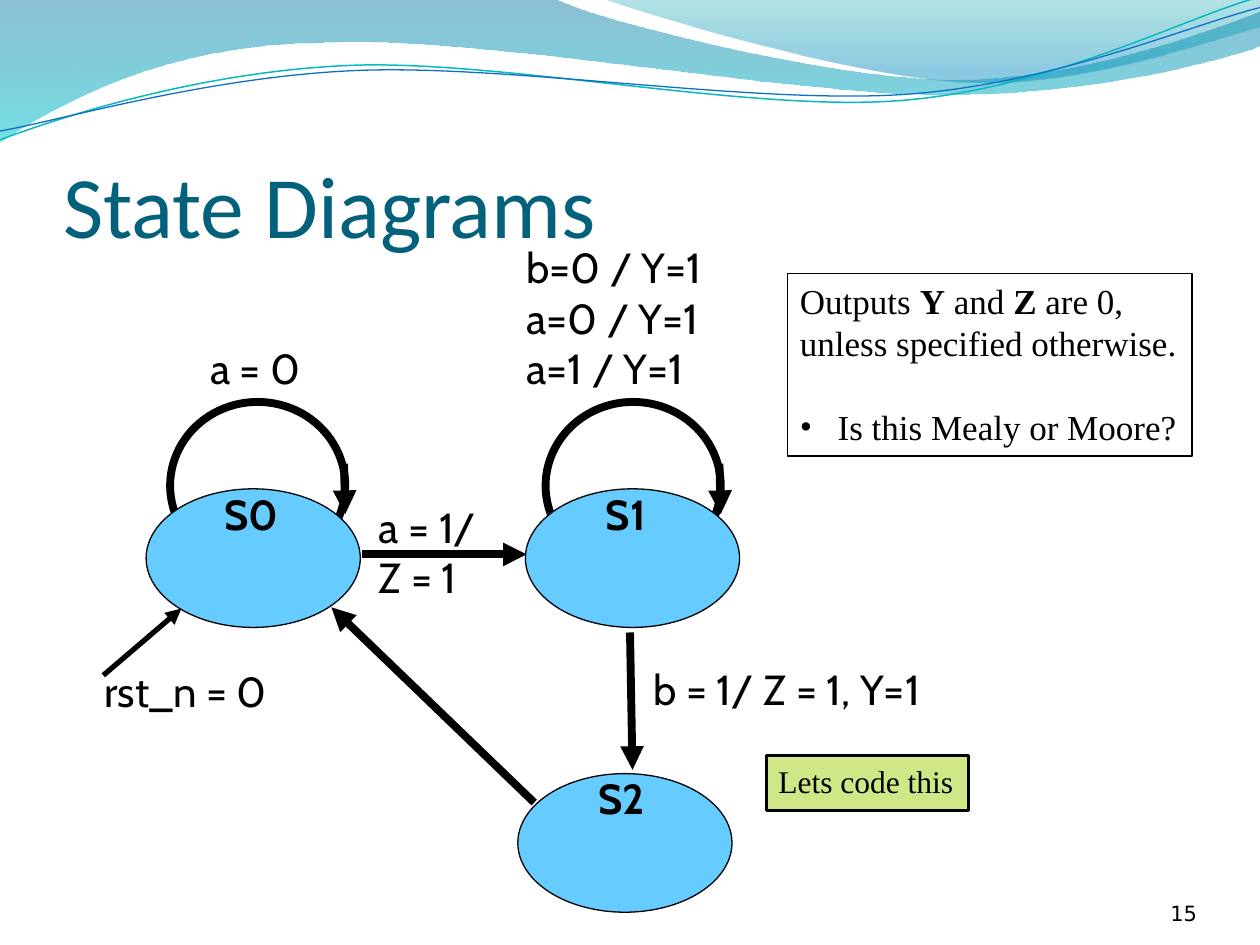
from lxml.etree import SubElement
from pptx import Presentation
from pptx.dml.color import RGBColor
from pptx.enum.shapes import MSO_CONNECTOR as Connector, MSO_SHAPE as Shape
from pptx.enum.text import MSO_ANCHOR as Anchor, MSO_AUTO_SIZE as AutoSize, PP_ALIGN as Align
from pptx.oxml.ns import qn
from pptx.util import Inches, Pt

COLORS = {"title": "04617B", "ink": "000000", "state": "66CCFF", "note": "99CC00"}

WAVES = [
    ([[(0, -0.01)], [(4.4, -0.01)],
      [(4.76, 0.17), (6.64, 0.63), (7.58, 0.63)],
      [(8.53, 0.63), (9.58, 0.26), (10, 0.09)],
      [(10.01, 0.36)],
      [(9.83, 0.44), (8.7, 0.76), (7.46, 0.75)],
      [(6.22, 0.75), (3.82, 0.28), (2.57, 0.34)],
      [(1.29, 0.35), (0.46, 0.83), (-0.01, 1.13)]],
     [(0, "0074A1", 45), (1, "00C6CF", 55)]),
    ([[(4.79, -0.01)],
      [(5.09, 0.11), (6.82, 0.62), (7.69, 0.65)],
      [(8.56, 0.69), (9.61, 0.32), (10, 0.21)],
      [(10, 0)]],
     [(0, "00A1A9", 30), (0.8, "008BBF", 45)]),
]
RIBBONS = [
    ([[(0, 1.11)],
      [(0.48, 0.93), (1.58, 0.57), (2.77, 0.52)],
      [(3.95, 0.47), (5.93, 0.89), (7.13, 0.8)],
      [(8.33, 0.71), (9.38, 0.15), (9.98, -0.02)]], "0AB8BF", 0.85),
    ([[(0, 1.04)],
      [(0.47, 0.96), (1.64, 0.61), (2.83, 0.56)],
      [(4.03, 0.51), (5.97, 0.83), (7.17, 0.75)],
      [(8.36, 0.67), (9.41, 0.21), (10, 0.06)]], "0F6FC6", 0.75),
]
LOOPS = [(1.35, 3.19), (4.33, 3.19)]
STATES = [("S0", (1.16, 3.88), (1.68, 3.83)),
          ("S1", (4.17, 3.88), (4.71, 3.83)),
          ("S2", (4.11, 6.14), (4.65, 6.08))]
ARROWS = [((2.87, 4.4), (4.18, 4.4), 4.5),
          ((4.24, 6.37), (2.63, 4.82), 4.5),
          ((0.82, 5.36), (1.44, 4.83), 3),
          ((5, 5.02), (5.02, 6.11), 4.5)]
LABELS = [("rst_n = 0", (0.73, 5.23, 1.6, 0.5)),
          ("a = 0", (1.57, 2.67, 1.01, 0.5)),
          ("b=0 / Y=1\na=0 / Y=1\na=1 / Y=1", (4.08, 1.87, 1.76, 1.3)),
          ("a = 1/\nZ = 1", (2.91, 3.93, 1.14, 0.9)),
          ("b = 1/ Z = 1, Y=1", (5.09, 5.22, 2.89, 0.5))]
OUTPUTS = [[("Outputs ", False), ("Y", True), (" and ", False), ("Z", True), (" are 0,", False)],
           [("unless specified otherwise.", False)],
           [("Is this Mealy or Moore?", False)]]


def rgb(value):
    return RGBColor.from_string(value)


def set_alpha(color, percent):
    SubElement(color, qn("a:alpha")).set("val", str(percent * 1000))


def style_font(font, size, name, color=COLORS["ink"], bold=False):
    font.size, font.name, font.bold = Pt(size), name, bold
    font.color.rgb = rgb(color)


def add_curve(page, segments, closed):
    points = [(Inches(x), Inches(y)) for segment in segments for x, y in segment]
    builder = page.shapes.build_freeform(*points[0])
    builder.add_line_segments(points[1:], close=closed)
    curve = builder.convert_to_shape()
    curve.shadow.inherit = False
    lines = iter(list(curve.element.iter(qn("a:lnTo"))))
    for segment in segments[1:]:
        first, *others = [next(lines) for _ in segment]
        if others:
            first.tag = qn("a:cubicBezTo")
        for line in others:
            first.append(line[0])
            line.getparent().remove(line)
    return curve


def add_outlined(page, kind, frame, width, fill=None):
    shape = page.shapes.add_shape(kind, *map(Inches, frame))
    shape.shadow.inherit = False
    if fill:
        shape.fill.solid()
        shape.fill.fore_color.rgb = rgb(fill)
    else:
        shape.fill.background()
    shape.line.color.rgb = rgb(COLORS["ink"])
    shape.line.width = Pt(width)
    return shape


def add_arrow(page, start, end, width):
    arrow = page.shapes.add_connector(Connector.STRAIGHT, *map(Inches, start + end))
    arrow.line.color.rgb = rgb(COLORS["ink"])
    arrow.line.width = Pt(width)
    properties = arrow.element.spPr
    SubElement(properties.find(qn("a:ln")), qn("a:tailEnd")).set("type", "triangle")
    SubElement(properties, qn("a:effectLst"))


def add_label(page, text, frame, bold=False):
    box = page.shapes.add_textbox(*map(Inches, frame))
    box.text_frame.word_wrap = False
    box.text_frame.auto_size = AutoSize.SHAPE_TO_FIT_TEXT
    box.text_frame.text = text
    for para in box.text_frame.paragraphs:
        style_font(para.runs[0].font, 24, "Cabin", bold=bold)


def add_backdrop(page):
    for segments, stops in WAVES:
        wave = add_curve(page, segments, True)
        wave.line.fill.background()
        wave.fill.gradient()
        wave.fill.gradient_angle = 270
        for stop, (position, color, _) in zip(wave.fill.gradient_stops, stops):
            stop.position = position
            stop.color.rgb = rgb(color)
        for color, (_, _, percent) in zip(wave.element.spPr.iter(qn("a:srgbClr")), stops):
            set_alpha(color, percent)
    for segments, color, width in RIBBONS:
        ribbon = add_curve(page, segments, False)
        ribbon.fill.background()
        ribbon.line.color.rgb = rgb(color)
        ribbon.line.width = Pt(width)


def add_heading(page):
    title = page.shapes.title
    title.left, title.top, title.width, title.height = map(Inches, (0.5, 0.78, 9, 1.25))
    number = page.shapes.add_textbox(*map(Inches, (8.67, 6.95, 0.83, 0.4)))
    for box, text, align, top in ((title, "State Diagrams", Align.LEFT, 0.05),
                                  (number, "15", Align.RIGHT, 0)):
        frame = box.text_frame
        frame.text = text
        frame.word_wrap = True
        frame.vertical_anchor = Anchor.BOTTOM
        frame.margin_left = frame.margin_right = frame.margin_bottom = 0
        frame.margin_top = Inches(top)
        frame.paragraphs[0].alignment = align
    style_font(title.text_frame.paragraphs[0].runs[0].font, 50, "Calibri", COLORS["title"])
    style_font(number.text_frame.paragraphs[0].runs[0].font, 12, "DejaVu Sans")


def add_diagram(page):
    for left, top in LOOPS:
        add_outlined(page, Shape.OVAL, (left, top, 1.39, 1.33), 4.5)
        add_arrow(page, (left + 1.38, top + 0.49), (left + 1.39, top + 0.89), 4.5)
    for _, corner, _ in STATES:
        add_outlined(page, Shape.OVAL, corner + (1.7, 1.1), 0.75, COLORS["state"])
    for arrow in ARROWS:
        add_arrow(page, *arrow)
    for name, _, corner in STATES:
        add_label(page, name, corner + (0.63, 0.5), bold=True)
    for text, frame in LABELS:
        add_label(page, text, frame)


def add_notes(page):
    outputs = add_outlined(page, Shape.RECTANGLE, (6.25, 2.17, 3.21, 1.45), 0.75)
    code = add_outlined(page, Shape.RECTANGLE, (6.08, 6, 1.61, 0.43), 1.75, COLORS["note"])
    set_alpha(next(code.element.spPr.iter(qn("a:srgbClr"))), 47)
    for box, lines, size in ((outputs, OUTPUTS, 20), (code, [[("Lets code this", False)]], 18)):
        frame = box.text_frame
        frame.word_wrap = False
        frame.vertical_anchor = Anchor.TOP
        for index, line in enumerate(lines):
            para = frame.add_paragraph() if index else frame.paragraphs[0]
            para.alignment = Align.LEFT
            for text, bold in line:
                span = para.add_run()
                span.text = text
                style_font(span.font, size, "Times New Roman", bold=bold)
    question = outputs.text_frame.paragraphs[-1]
    question.space_before = Pt(24)
    properties = question._p.get_or_add_pPr()
    properties.set("marL", str(Inches(0.3)))
    properties.set("indent", str(-Inches(0.3)))
    SubElement(properties, qn("a:buFont")).set("typeface", "Times New Roman")
    SubElement(properties, qn("a:buChar")).set("char", "•")


def main():
    deck = Presentation()
    deck.slide_width, deck.slide_height = Inches(10), Inches(7.5)
    page = deck.slides.add_slide(deck.slide_layouts[5])
    add_backdrop(page)
    add_heading(page)
    add_diagram(page)
    add_notes(page)
    deck.save("out.pptx")


if __name__ == "__main__":
    main()
